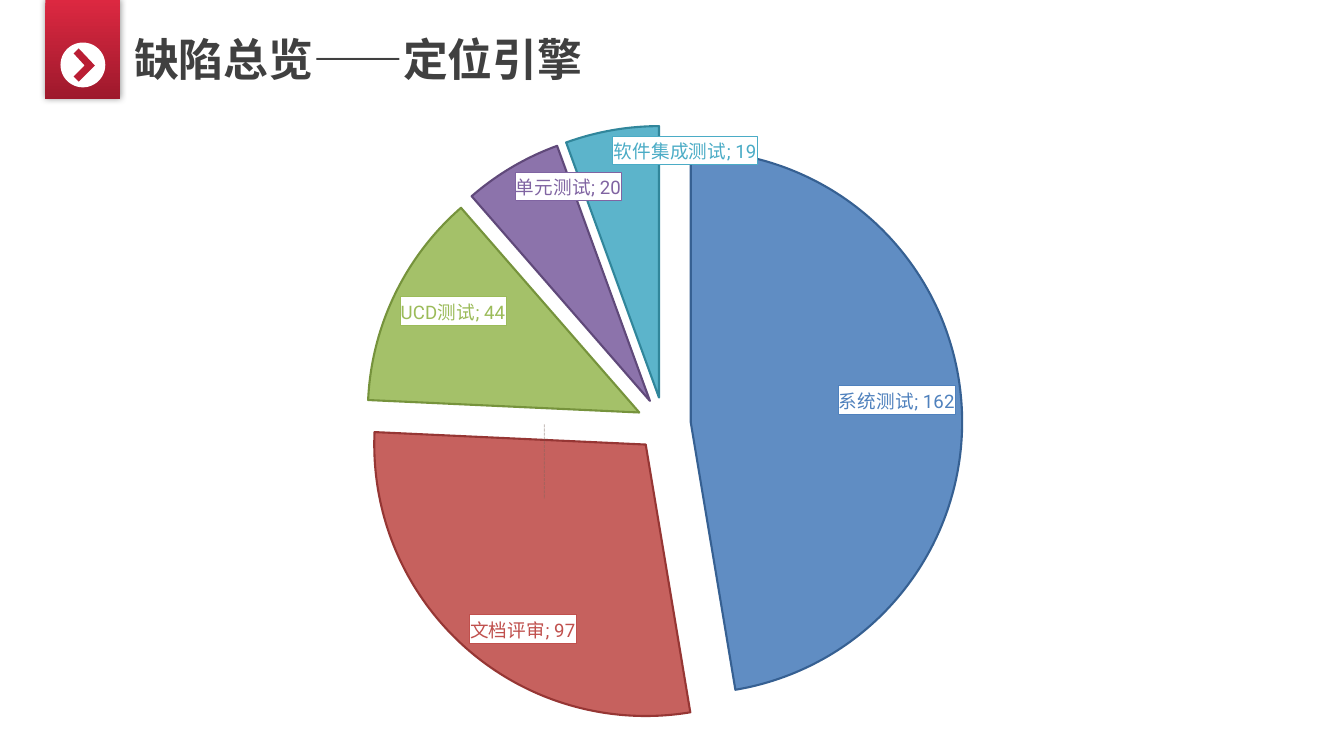
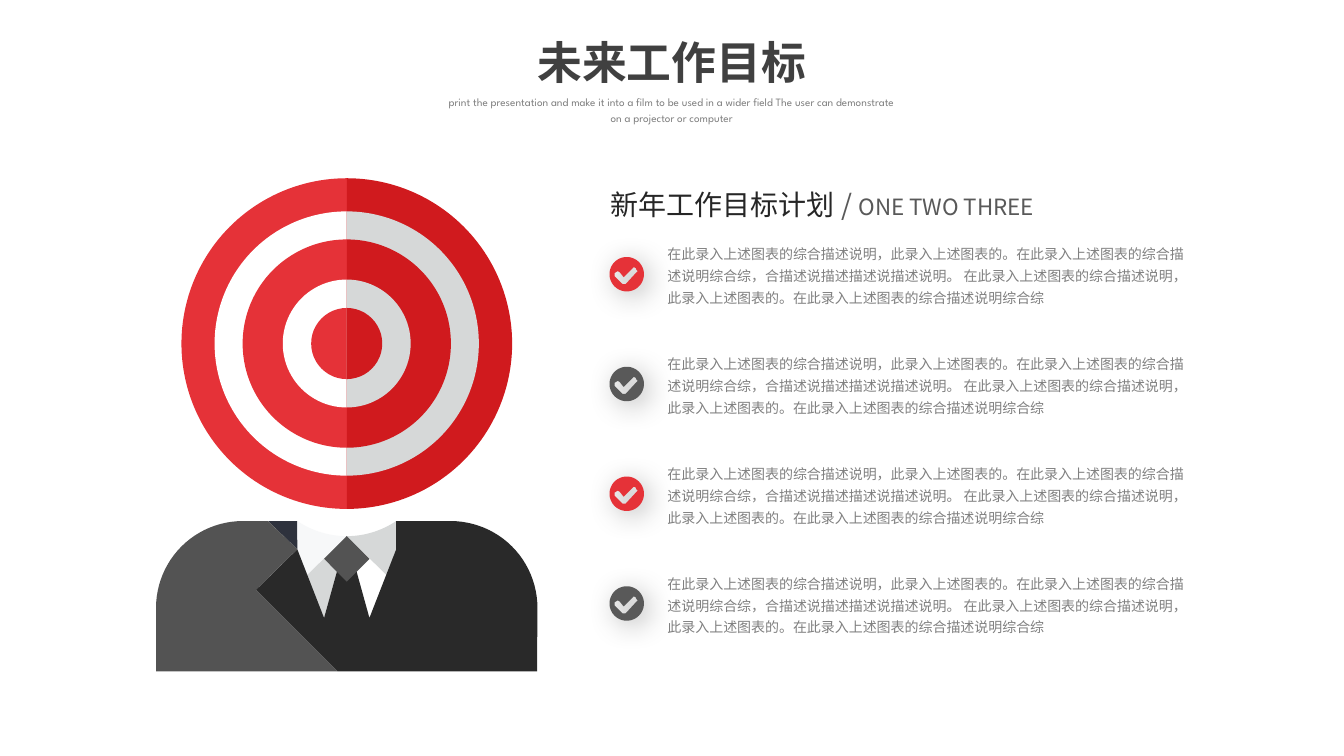
import math
import lxml.etree
import pptx
import pptx.chart.data
import pptx.dml.color
import pptx.enum.chart
import pptx.enum.dml
import pptx.enum.shapes
import pptx.enum.text
import pptx.oxml.ns
import pptx.util
from dataclasses import dataclass

Pt = pptx.util.Pt
qn = pptx.oxml.ns.qn
SHAPE = pptx.enum.shapes.MSO_SHAPE
ALIGN = pptx.enum.text.PP_ALIGN


@dataclass(frozen=True)
class Theme:
    latin: str = "Roboto"
    display: str = "League Spartan"
    cjk: str = "Noto Sans CJK SC"
    title: str = "404040"
    heading: str = "262626"
    slate: str = "595959"
    body: str = "808080"
    white: str = "FFFFFF"
    ribbon_top: str = "DC2841"
    ribbon_bottom: str = "9E192C"
    chevron: str = "BA1E34"
    leader: str = "79645C"
    red: str = "E53238"
    deep_red: str = "D01A1E"
    silver: str = "D6D8D8"
    shirt: str = "F7F8F9"
    jacket: str = "292929"
    lapel: str = "535353"
    navy: str = "2E323D"
    title_size: float = 32
    heading_size: float = 20
    tag_size: float = 16
    label_size: float = 13.3
    body_size: float = 10
    caption_size: float = 8


THEME = Theme()

DEFECT_TITLE = "缺陷总览——定位引擎"
DEFECTS = [
    ("系统测试", 162, "4F81BD", "366092"),
    ("文档评审", 97, "C0504D", "963634"),
    ("UCD测试", 44, "9BBB59", "76933C"),
    ("单元测试", 20, "8064A2", "60497A"),
    ("软件集成测试", 19, "4BACC6", "31869B"),
]

GOAL_TITLE = "未来工作目标"
GOAL_CAPTION = ("print the presentation and make it into a film to be used in a wider field "
                "The user can demonstrate on a projector or computer")
PLAN_HEADING = [
    ("新年工作目标计划 ", THEME.heading_size, THEME.heading),
    ("/ ", THEME.heading_size, THEME.slate),
    ("ONE TWO THREE", THEME.tag_size, THEME.slate),
]
GOAL_TEXT = ("在此录入上述图表的综合描述说明，此录入上述图表的。在此录入上述图表的综合描述说明综合综，"
             "合描述说描述描述说描述说明。 在此录入上述图表的综合描述说明，此录入上述图表的。"
             "在此录入上述图表的综合描述说明综合综")
GOALS = [(GOAL_TEXT, color) for color in (THEME.red, THEME.slate) * 2]
GOAL_PITCH = 78.4

RINGS = [
    (118.1, THEME.red, THEME.deep_red),
    (94.4, THEME.white, THEME.silver),
    (74.4, THEME.red, THEME.deep_red),
    (45.7, THEME.white, THEME.silver),
    (25.4, THEME.red, THEME.deep_red),
]
TARGET_X, TARGET_Y = 247.7, 245.4

CHEVRON = [(56.2, 34.6), (67.7, 46.8), (56.2, 58.3), (52.6, 54.7), (60.5, 46.8), (52.6, 38.2)]
TICK = [(19.4, 9.4), (18.7, 7.9), (17.3, 7.2), (16.6, 7.9), (10.1, 14.4), (7.2, 10.8),
        (5.8, 10.1), (3.6, 11.5), (3.6, 13.7), (9.4, 19.4), (11.5, 19.4), (19.4, 10.8), (20.2, 10.1)]


def rgb(value):
    return pptx.dml.color.RGBColor.from_string(value)


def assign(target, values):
    for name, value in values.items():
        setattr(target, name, value)


def child(parent, tag, **attributes):
    return lxml.etree.SubElement(parent, qn(tag), attributes)


def box(left, top, width, height):
    return Pt(left), Pt(top), Pt(width), Pt(height)


def arc(x, y, radius, start, end, steps=24):
    angles = [math.radians(start + (end - start) * i / steps) for i in range(steps + 1)]
    return [(x + radius * math.cos(a), y + radius * math.sin(a)) for a in angles]


def mirror(points):
    return [(2 * TARGET_X - x, y) for x, y in points]


def paint(shape, color):
    shape.fill.solid()
    shape.fill.fore_color.rgb = rgb(color)
    shape.line.fill.background()
    shape.shadow.inherit = False
    return shape


def cast_shadow(shape, opacity, blur, distance, angle):
    effects = shape._element.spPr.find(qn("a:effectLst"))
    shadow = child(effects, "a:outerShdw", blurRad=str(Pt(blur)), dist=str(Pt(distance)),
                   dir=str(angle * 60000), algn="ctr", rotWithShape="0")
    child(child(shadow, "a:srgbClr", val="000000"), "a:alpha", val=str(opacity * 1000))


def outline(slide, color, *contours):
    first, *others = [[(Pt(x), Pt(y)) for x, y in contour] for contour in contours]
    builder = slide.shapes.build_freeform(*first[0])
    builder.add_line_segments(first[1:], close=True)
    for contour in others:
        builder.move_to(*contour[0])
        builder.add_line_segments(contour[1:], close=True)
    return paint(builder.convert_to_shape(), color)


def write(shape, runs, font, align=ALIGN.LEFT, spacing=1.0, bold=False, **frame_format):
    frame = shape.text_frame
    assign(frame, {"word_wrap": True, "auto_size": pptx.enum.text.MSO_AUTO_SIZE.NONE,
                   "vertical_anchor": pptx.enum.text.MSO_ANCHOR.TOP, **frame_format})
    paragraph = frame.paragraphs[0]
    assign(paragraph, {"alignment": align, "line_spacing": spacing})
    for text, size, color in runs:
        run = paragraph.add_run()
        run.text = text
        assign(run.font, {"name": font, "size": Pt(size), "bold": bold})
        run.font.color.rgb = rgb(color)
        child(run._r.get_or_add_rPr(), "a:ea", typeface=THEME.cjk)


def titled_slide(deck, text, place, font, align):
    slide = deck.slides.add_slide(deck.slide_layouts[5])
    title = slide.shapes.title
    assign(title, dict(zip(("left", "top", "width", "height"), box(*place))))
    write(title, [(text, THEME.title_size, THEME.title)], font, align, bold=True,
          margin_left=Pt(7.2), margin_right=Pt(7.2), margin_top=Pt(3.6), margin_bottom=Pt(3.6))
    return slide


def add_ribbon(slide):
    ribbon = paint(slide.shapes.add_shape(SHAPE.RECTANGLE, *box(32.4, 0, 53.6, 70.6)), THEME.ribbon_top)
    ribbon.fill.gradient()
    ribbon.fill.gradient_angle = 270
    for stop, color in zip(ribbon.fill.gradient_stops, (THEME.ribbon_top, THEME.ribbon_bottom)):
        stop.color.rgb = rgb(color)
    cast_shadow(ribbon, 40, 5, 0, 0)
    paint(slide.shapes.add_shape(SHAPE.OVAL, *box(43.2, 30.4, 32, 32)), THEME.white)
    outline(slide, THEME.chevron, CHEVRON)


def style_slice(point, color, edge):
    point.format.fill.solid()
    point.format.fill.fore_color.rgb = rgb(color)
    point.format.line.color.rgb = rgb(edge)
    point.format.line.width = Pt(1.5)
    label = point.data_label
    assign(label.font, {"size": Pt(THEME.label_size), "name": THEME.latin})
    label.font.color.rgb = rgb(color)
    label.position = pptx.enum.chart.XL_LABEL_POSITION.INSIDE_END


def frame_label(label, color):
    text = label.find(qn("c:txPr"))
    frame = lxml.etree.Element(qn("c:spPr"))
    text.addprevious(frame)
    child(child(frame, "a:solidFill"), "a:srgbClr", val=THEME.white)
    border = child(frame, "a:ln", w=str(Pt(0.75)))
    child(child(border, "a:solidFill"), "a:srgbClr", val=color)
    label.find(qn("c:showCatName")).set("val", "1")
    child(label, "c:separator").text = "; "


def add_defect_pie(slide):
    data = pptx.chart.data.CategoryChartData()
    data.categories = [name for name, *_ in DEFECTS]
    data.add_series("Series 1", [count for _, count, *_ in DEFECTS])
    chart = slide.shapes.add_chart(pptx.enum.chart.XL_CHART_TYPE.PIE,
                                   *box(162.7, 79.9, 622.8, 446.4), data).chart
    assign(chart, {"has_legend": False, "has_title": False})
    assign(chart.font, {"name": THEME.latin, "size": Pt(THEME.body_size)})
    chart.plots[0].vary_by_categories = True
    series = chart.plots[0].series[0]
    for index, (_, _, color, edge) in enumerate(DEFECTS):
        style_slice(series.points[index], color, edge)
    for piece in series._element.xpath("c:dPt"):
        explosion = lxml.etree.Element(qn("c:explosion"), val="10")
        piece.find(qn("c:spPr")).addprevious(explosion)
        child(piece.xpath("c:spPr/a:solidFill/a:srgbClr")[0], "a:alpha", val="90000")
    for label, (_, _, color, _) in zip(series._element.xpath("c:dLbls/c:dLbl"), DEFECTS):
        frame_label(label, color)


def add_leader(slide):
    leader = slide.shapes.add_connector(pptx.enum.shapes.MSO_CONNECTOR.STRAIGHT,
                                        Pt(388.8), Pt(303.1), Pt(388.8), Pt(356.4))
    leader.line.color.rgb = rgb(THEME.leader)
    assign(leader.line, {"width": Pt(0.75), "dash_style": pptx.enum.dml.MSO_LINE.SQUARE_DOT})
    properties = leader._element.spPr
    child(properties.xpath("a:ln/a:solidFill/a:srgbClr")[0], "a:alpha", val="39000")
    child(properties, "a:effectLst")


def add_suit(slide):
    top, knot, hem, shoulder = 372.2, 383, 479.5, 434.2
    knot_point, collar_point = (TARGET_X, knot), (212.4, 392.4)
    lapel_tip, lapel_foot = (182.9, 421.2), (241.2, hem)
    collar = arc(TARGET_X, knot - 63.1, 63.1, 124, 90) + [(218.9, 411.1), collar_point]
    left_shoulder = arc(173.5, shoulder, 62, 270, 180)
    shirt_tip = (231.5, 441.4)
    right_edge = mirror([shirt_tip, collar_point, (212.4, top)])
    parts = [
        (THEME.silver, [(218.9, 410.4), shirt_tip, knot_point]),
        (THEME.shirt, collar),
        (THEME.silver, mirror(collar)),
        (THEME.jacket, [knot_point, shirt_tip, collar_point, lapel_tip, lapel_foot, (383.6, hem)]
         + mirror(left_shoulder)[::-1] + right_edge[::-1]),
        (THEME.navy, [(212.2, top), (191.5, top), collar_point]),
        (THEME.lapel, [lapel_tip, collar_point, (191.5, top)] + left_shoulder
         + [(111.5, hem), lapel_foot]),
    ]
    for color, points in parts:
        outline(slide, color, points)
    paint(slide.shapes.add_shape(SHAPE.DIAMOND, *box(TARGET_X - 16.2, knot, 32.4, 32.4)), THEME.lapel)


def add_target(slide):
    for radius, left_color, right_color in RINGS:
        place = box(TARGET_X - radius, TARGET_Y - radius, 2 * radius, 2 * radius)
        for color, start, end in ((left_color, 54, 162), (right_color, 162, 54)):
            half = paint(slide.shapes.add_shape(SHAPE.PIE, *place), color)
            half.adjustments[0] = start
            half.adjustments[1] = end


def add_goals(slide):
    no_margins = {f"margin_{side}": 0 for side in ("left", "top", "right", "bottom")}
    for index, (text, color) in enumerate(GOALS):
        offset = index * GOAL_PITCH
        left, top, radius = 435.4, 183.6 + offset, 12.3
        badge = outline(slide, color, arc(left + radius, top + radius, radius, 0, 360, 48),
                        [(left + x, top + y) for x, y in TICK])
        cast_shadow(badge, 30, 20, 5, 45)
        goal = slide.shapes.add_textbox(*box(476.8, 172.1 + offset, 371.5, 47.5))
        write(goal, [(text, THEME.body_size, THEME.body)], THEME.cjk, spacing=1.3, **no_margins)


def main():
    deck = pptx.Presentation()
    assign(deck, {"slide_width": Pt(960), "slide_height": Pt(540)})

    defects = titled_slide(deck, DEFECT_TITLE, (88.6, 18.7, 402.5, 46), THEME.latin, ALIGN.LEFT)
    add_ribbon(defects)
    add_defect_pie(defects)
    add_leader(defects)

    goals = titled_slide(deck, GOAL_TITLE, (311.8, 20.9, 336.2, 46), THEME.display, ALIGN.CENTER)
    caption = goals.shapes.add_textbox(*box(311.8, 62.6, 336.2, 30.2))
    write(caption, [(GOAL_CAPTION, THEME.caption_size, THEME.body)], THEME.display, ALIGN.CENTER, 1.2)
    add_suit(goals)
    add_target(goals)
    heading = goals.shapes.add_textbox(*box(429.1, 123.1, 323.3, 36))
    write(heading, PLAN_HEADING, THEME.cjk, spacing=1.3, word_wrap=False)
    add_goals(goals)

    deck.save("out.pptx")


if __name__ == "__main__":
    main()
